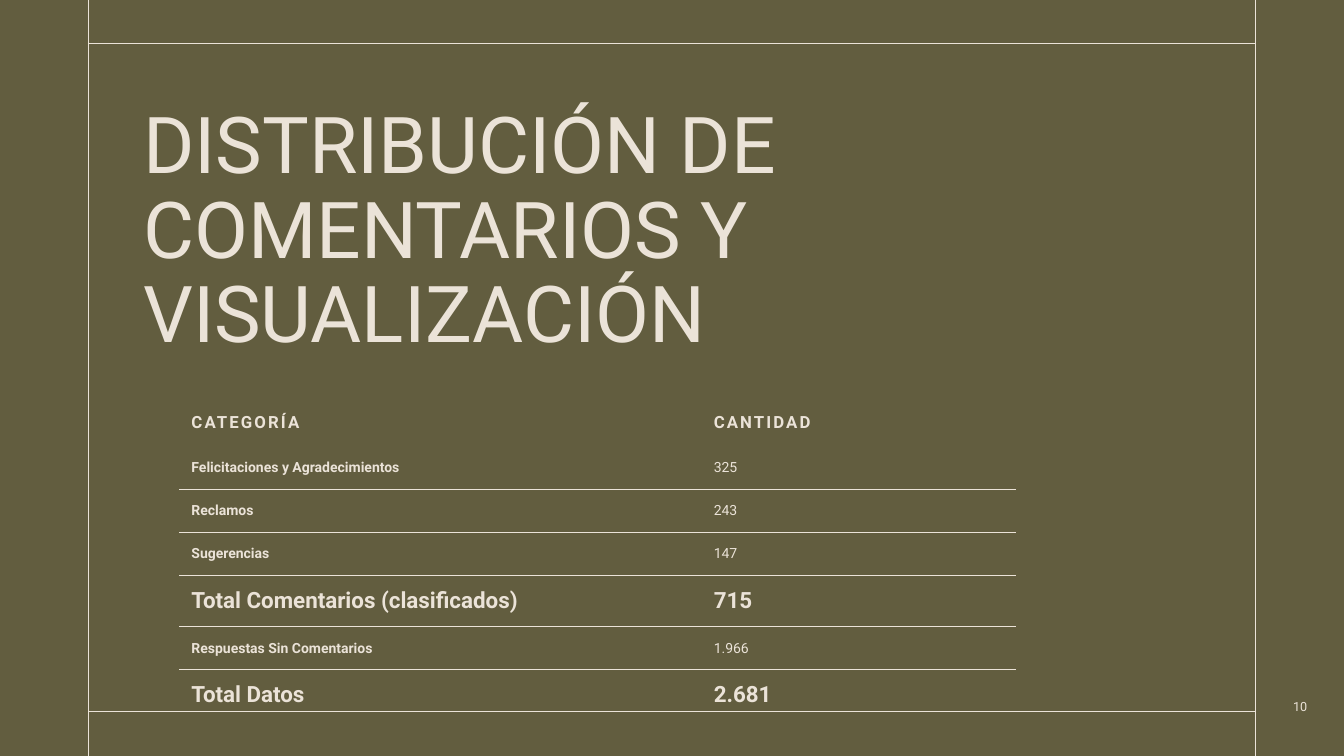
from dataclasses import dataclass

from lxml import etree
from pptx import Presentation
from pptx import util as u
from pptx.dml import color as dml
from pptx.enum import shapes, text
from pptx.oxml import ns

COLORS = {"olive": "625D3F", "cream": "EBE3D8"}
FONT = "Roboto"
WIDTH, HEIGHT = u.Inches(13.33), u.Inches(7.5)
HAIRLINE = u.Pt(0.5)
CELL_INSET = u.Inches(0.12)


@dataclass(frozen=True)
class Rule:
    x1: float
    y1: float
    x2: float
    y2: float


@dataclass(frozen=True)
class Entry:
    category: str
    amount: str
    height: float = 5.7
    size: int = 10
    amount_bold: bool = False
    spacing: float = 0


FRAME = [
    Rule(6.6, 0, 6.6, 100),
    Rule(6.6, 5.75, 93.4, 5.75),
    Rule(93.4, 0, 93.4, 100),
    Rule(6.6, 94.15, 93.4, 94.15),
]
COLUMN_SHARES = [38.86, 23.41]
ENTRIES = [
    Entry("CATEGORÍA", "CANTIDAD", 6.27, 12, True, 1.5),
    Entry("Felicitaciones y Agradecimientos", "325"),
    Entry("Reclamos", "243"),
    Entry("Sugerencias", "147"),
    Entry("Total Comentarios (clasificados)", "715", 6.63, 16, True),
    Entry("Respuestas Sin Comentarios", "1.966"),
    Entry("Total Datos", "2.681", 6.63, 16, True),
]


def across(percent: float) -> int:
    return round(WIDTH * percent / 100)


def down(percent: float) -> int:
    return round(HEIGHT * percent / 100)


def rgb(name: str) -> dml.RGBColor:
    return dml.RGBColor.from_string(COLORS[name])


def write(frame, wording: str, *, size: float, bold: bool = False,
          align=text.PP_ALIGN.LEFT, spacing: float = 0,
          line_spacing: float = 1.0) -> None:
    paragraph = frame.paragraphs[0]
    paragraph.alignment = align
    paragraph.line_spacing = line_spacing
    run = paragraph.add_run()
    run.text = wording
    run.font.name = FONT
    run.font.size = u.Pt(size)
    run.font.bold = bold
    run.font.color.rgb = rgb("cream")
    if spacing:
        run.font._element.set("spc", str(round(spacing * 100)))


def draw_rule(slide, rule: Rule) -> None:
    line = slide.shapes.add_connector(
        shapes.MSO_CONNECTOR.STRAIGHT,
        across(rule.x1), down(rule.y1), across(rule.x2), down(rule.y2))
    line.line.color.rgb = rgb("cream")
    line.line.width = HAIRLINE
    etree.SubElement(line._element.spPr, ns.qn("a:effectLst"))


def set_borders(cell, top: bool, bottom: bool) -> None:
    properties = cell._tc.get_or_add_tcPr()
    sides = {"a:lnL": False, "a:lnR": False, "a:lnT": top, "a:lnB": bottom}
    for tag, visible in sides.items():
        border = etree.SubElement(properties, ns.qn(tag), w=str(HAIRLINE))
        if visible:
            fill = etree.SubElement(border, ns.qn("a:solidFill"))
            etree.SubElement(fill, ns.qn("a:srgbClr"), val=COLORS["cream"])
        else:
            etree.SubElement(border, ns.qn("a:noFill"))


def draw_entry(table, index: int, entry: Entry) -> None:
    table.rows[index].height = down(entry.height)
    contents = [(entry.category, True), (entry.amount, entry.amount_bold)]
    for cell, (wording, bold) in zip(table.rows[index].cells, contents):
        cell.margin_left = cell.margin_right = CELL_INSET
        cell.margin_top = cell.margin_bottom = CELL_INSET
        cell.vertical_anchor = text.MSO_ANCHOR.MIDDLE
        set_borders(cell, top=index > 1, bottom=0 < index < len(ENTRIES) - 1)
        if index == 0:
            cell.fill.solid()
            cell.fill.fore_color.rgb = rgb("olive")
        else:
            cell.fill.background()
        write(cell.text_frame, wording, size=entry.size, bold=bold,
              spacing=entry.spacing)


def draw_counts(slide) -> None:
    table = slide.shapes.add_table(
        len(ENTRIES), len(COLUMN_SHARES), across(13.35), down(52.8),
        across(sum(COLUMN_SHARES)),
        down(sum(entry.height for entry in ENTRIES))).table
    table.horz_banding = False
    for column, share in zip(table.columns, COLUMN_SHARES):
        column.width = across(share)
    for index, entry in enumerate(ENTRIES):
        draw_entry(table, index, entry)


def draw_heading(slide) -> None:
    heading = slide.shapes.title
    heading.left, heading.top = across(9.9), down(11.47)
    heading.width, heading.height = across(69.17), down(36.8)
    frame = heading.text_frame
    frame.word_wrap = True
    frame.auto_size = text.MSO_AUTO_SIZE.NONE
    frame.vertical_anchor = text.MSO_ANCHOR.BOTTOM
    write(frame, "DISTRIBUCIÓN DE COMENTARIOS Y VISUALIZACIÓN",
          size=56, line_spacing=0.9)


def draw_page_number(slide) -> None:
    frame = slide.shapes.add_textbox(
        across(94.97), down(90.8), across(3.53), down(5.33)).text_frame
    frame.word_wrap = True
    frame.vertical_anchor = text.MSO_ANCHOR.MIDDLE
    write(frame, "10", size=9, align=text.PP_ALIGN.CENTER)
    frame.paragraphs[0].space_after = u.Pt(6)


def main() -> None:
    deck = Presentation()
    deck.slide_width, deck.slide_height = WIDTH, HEIGHT
    slide = deck.slides.add_slide(deck.slide_layouts.get_by_name("Title Only"))
    slide.background.fill.solid()
    slide.background.fill.fore_color.rgb = rgb("olive")
    for rule in FRAME:
        draw_rule(slide, rule)
    draw_heading(slide)
    draw_page_number(slide)
    draw_counts(slide)
    deck.save("out.pptx")


if __name__ == "__main__":
    main()
